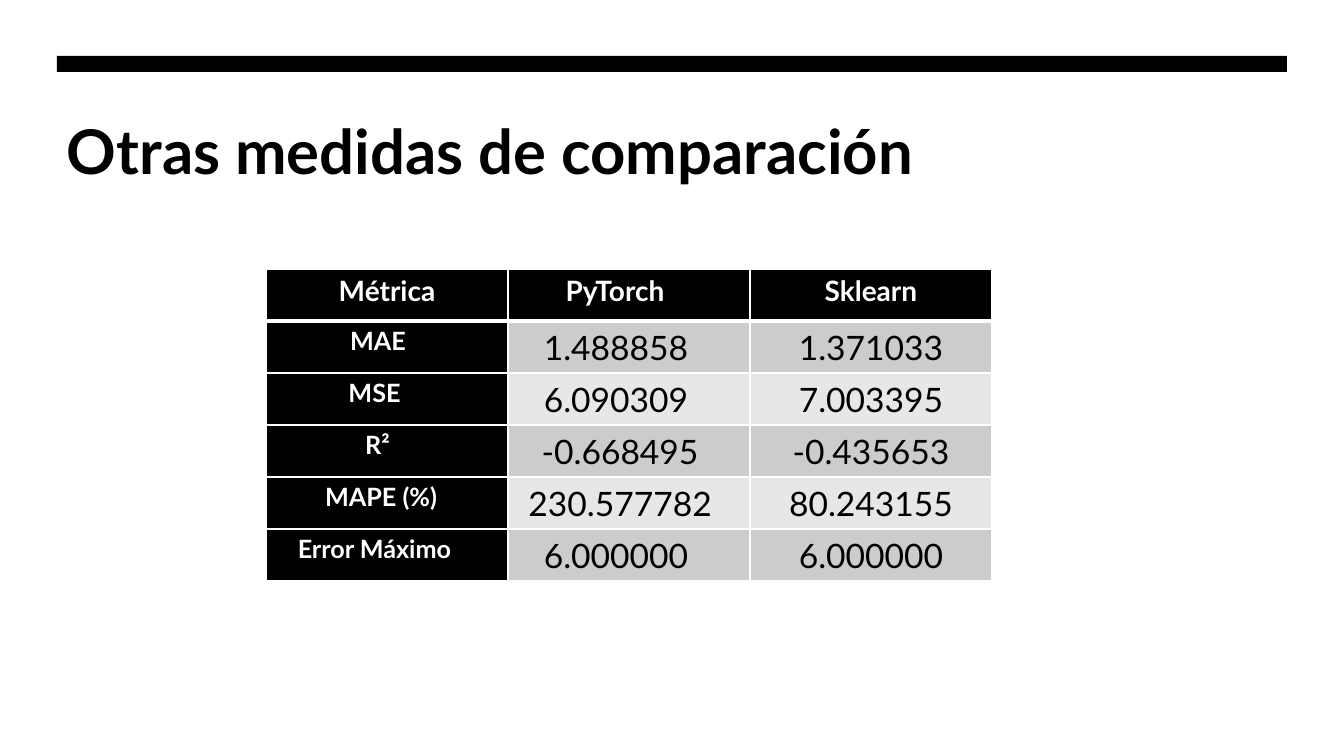
from dataclasses import dataclass
from typing import NamedTuple

from lxml import etree
from pptx import Presentation
from pptx.dml.color import RGBColor
from pptx.enum.shapes import MSO_SHAPE
from pptx.enum.text import MSO_ANCHOR, PP_ALIGN
from pptx.oxml.ns import qn
from pptx.util import Emu, Pt

RECTANGLE = MSO_SHAPE.RECTANGLE
CENTER = PP_ALIGN.CENTER
TOP = MSO_ANCHOR.TOP

EMU_PER_PX = 914400 / 100.8
EMU_PER_PT = 12700


@dataclass(frozen=True)
class Theme:
    font: str = "Lato"
    black: str = "000000"
    white: str = "FFFFFF"
    bands: tuple[str, str] = ("CCCCCC", "E7E7E7")
    title_size: int = 44
    header_size: int = 20
    metric_size: int = 18
    value_size: int = 24
    thin_border: int = 1
    header_border: int = 3


class Entry(NamedTuple):
    text: str
    right_gap: int = 0  # px that shift the centred text to the left


class CellStyle(NamedTuple):
    size: int
    color: str
    bold: bool
    fill: str


THEME = Theme()
HEADER_STYLE = CellStyle(THEME.header_size, THEME.white, True, THEME.black)
METRIC_STYLE = CellStyle(THEME.metric_size, THEME.white, True, THEME.black)

METRICS = [
    [Entry("Métrica"), Entry("PyTorch", 28), Entry("Sklearn")],
    [Entry("MAE", 18), Entry("1.488858", 26), Entry("1.371033")],
    [Entry("MSE", 25), Entry("6.090309", 26), Entry("7.003395")],
    [Entry("R²", 19), Entry("-0.668495", 18), Entry("-0.435653")],
    [Entry("MAPE (%)", 12), Entry("230.577782", 18), Entry("80.243155")],
    [Entry("Error Máximo", 25), Entry("6.000000", 26), Entry("6.000000")],
]
TABLE_LEFT, TABLE_TOP = 266, 269
COLUMN_WIDTH, ROW_HEIGHT = 242, 52
CELL_INSET = 7


def px(length: int) -> Emu:
    return Emu(round(length * EMU_PER_PX))


def style_run(run, size: int, color: str, bold: bool) -> None:
    run.font.name = THEME.font
    run.font.size = Pt(size)
    run.font.bold = bold
    run.font.color.rgb = RGBColor.from_string(color)


def set_borders(cell, top: int, bottom: int) -> None:
    """Give the cell white borders, with widths in points."""
    properties = cell._tc.get_or_add_tcPr()
    widths = {"a:lnL": THEME.thin_border, "a:lnR": THEME.thin_border,
              "a:lnT": top, "a:lnB": bottom}
    for position, (tag, width) in enumerate(widths.items()):
        border = etree.Element(qn(tag), w=str(width * EMU_PER_PT))
        fill = etree.SubElement(border, qn("a:solidFill"))
        etree.SubElement(fill, qn("a:srgbClr"), val=THEME.white)
        properties.insert(position, border)


def cell_style(row: int, column: int) -> CellStyle:
    if row == 0:
        return HEADER_STYLE
    if column == 0:
        return METRIC_STYLE
    return CellStyle(THEME.value_size, THEME.black, False,
                     THEME.bands[(row - 1) % 2])


def fill_cell(cell, entry: Entry, style: CellStyle) -> None:
    cell.fill.solid()
    cell.fill.fore_color.rgb = RGBColor.from_string(style.fill)
    cell.margin_left = px(CELL_INSET)
    cell.margin_right = px(CELL_INSET + entry.right_gap)
    cell.margin_top = cell.margin_bottom = 0
    cell.vertical_anchor = TOP
    cell.text_frame.text = entry.text
    paragraph = cell.text_frame.paragraphs[0]
    paragraph.alignment = CENTER
    paragraph.line_spacing = 1.15
    paragraph.space_after = Pt(8)
    style_run(paragraph.runs[0], style.size, style.color, style.bold)


def add_top_bar(slide) -> None:
    bar = slide.shapes.add_shape(RECTANGLE, px(57), px(56), px(1230), px(16))
    bar.shadow.inherit = False
    bar.fill.solid()
    bar.fill.fore_color.rgb = RGBColor.from_string(THEME.black)
    bar.line.fill.background()


def add_title(slide) -> None:
    title = slide.shapes.add_textbox(px(57), px(108), px(1230), px(161))
    title.text_frame.word_wrap = True
    title.text_frame.vertical_anchor = TOP
    title.text_frame.text = "Otras medidas de comparación"
    style_run(title.text_frame.paragraphs[0].runs[0],
              THEME.title_size, THEME.black, True)


def add_metrics_table(slide) -> None:
    row_count, column_count = len(METRICS), len(METRICS[0])
    metrics = slide.shapes.add_table(
        row_count, column_count, px(TABLE_LEFT), px(TABLE_TOP),
        px(COLUMN_WIDTH * column_count), px(ROW_HEIGHT * row_count)).table
    metrics.first_col = True
    metrics.horz_banding = False
    for column in metrics.columns:
        column.width = px(COLUMN_WIDTH)
    for row in metrics.rows:
        row.height = px(ROW_HEIGHT)
    for r, entries in enumerate(METRICS):
        top = THEME.header_border if r == 1 else THEME.thin_border
        bottom = THEME.header_border if r == 0 else THEME.thin_border
        for c, entry in enumerate(entries):
            cell = metrics.cell(r, c)
            fill_cell(cell, entry, cell_style(r, c))
            set_borders(cell, top, bottom)


def main() -> None:
    presentation = Presentation()
    presentation.slide_width, presentation.slide_height = px(1344), px(756)
    slide = presentation.slides.add_slide(presentation.slide_layouts[6])

    # Heading
    add_top_bar(slide)
    add_title(slide)

    # Comparison of both libraries
    add_metrics_table(slide)

    presentation.save("out.pptx")


if __name__ == "__main__":
    main()
